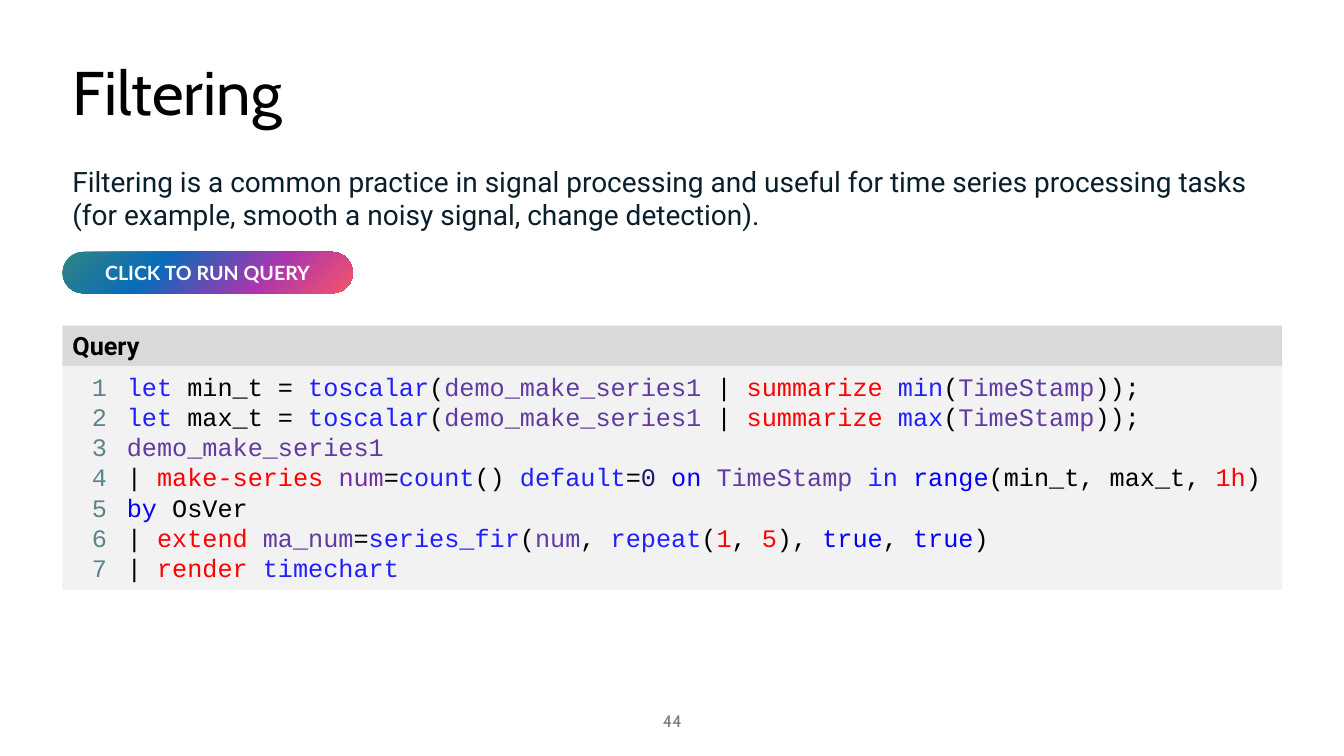
from pptx import Presentation
from pptx.dml.color import RGBColor
from pptx.enum.shapes import MSO_SHAPE as Shape
from pptx.enum.text import MSO_ANCHOR as Anchor, PP_ALIGN as Align
from pptx.oxml import parse_xml
from pptx.oxml.ns import nsdecls, qn
from pptx.util import Pt

BLACK = RGBColor(0x00, 0x00, 0x00)
WHITE = RGBColor(0xFF, 0xFF, 0xFF)
INK = RGBColor(0x09, 0x1F, 0x2C)
GREY = RGBColor(0x79, 0x79, 0x79)
HEADER_FILL = RGBColor(0xD9, 0xD9, 0xD9)
CODE_FILL = RGBColor(0xF2, 0xF2, 0xF2)
LINE_NUMBER = RGBColor(0x5B, 0x85, 0x8B)
FUNCTION = RGBColor(0x20, 0x20, 0xFF)
KEYWORD = RGBColor(0x00, 0x00, 0xFF)
OPERATOR = RGBColor(0xFF, 0x00, 0x00)
COLUMN = RGBColor(0x61, 0x3B, 0xA1)
SERIES = RGBColor(0x70, 0x30, 0xA0)
NUMBER = RGBColor(0x19, 0x19, 0x70)
BUTTON_STOPS = [
    (0, RGBColor(0xF6, 0x55, 0x67)),
    (31, RGBColor(0xAC, 0x35, 0xAF)),
    (67, RGBColor(0x0A, 0x6B, 0xBA)),
    (100, RGBColor(0x31, 0x85, 0x81)),
]

LEFT, WIDTH = 44.64, 871.2
CODE_FONT = "Courier New"
CODE_PITCH = 21.6
HEADER_HEIGHT = 28.8
GUTTER_WIDTH = 38.88


def time_bound(name):
    return [
        ("let ", FUNCTION), (f"{name}_t = ", BLACK), ("toscalar", FUNCTION),
        ("(", BLACK), ("demo_make_series1 ", COLUMN), ("| ", BLACK),
        ("summarize ", OPERATOR), (name, FUNCTION), ("(", BLACK),
        ("TimeStamp", COLUMN), ("));", BLACK),
    ]


QUERY = [
    time_bound("min"),
    time_bound("max"),
    [("demo_make_series1", COLUMN)],
    [
        ("| ", BLACK), ("make-series ", OPERATOR), ("num", SERIES),
        ("=", BLACK), ("count", FUNCTION), ("() ", BLACK),
        ("default", FUNCTION), ("=", BLACK), ("0 ", NUMBER),
        ("on ", KEYWORD), ("TimeStamp ", COLUMN), ("in ", FUNCTION),
        ("range", KEYWORD), ("(min_t, max_t, ", BLACK), ("1h", OPERATOR),
        (")", BLACK),
    ],
    [("by ", KEYWORD), ("OsVer", BLACK)],
    [
        ("| ", BLACK), ("extend ", OPERATOR), ("ma_num", COLUMN),
        ("=", BLACK), ("series_fir", FUNCTION), ("(", BLACK),
        ("num", COLUMN), (", ", BLACK), ("repeat", FUNCTION),
        ("(", BLACK), ("1", OPERATOR), (", ", BLACK), ("5", OPERATOR),
        ("), ", BLACK), ("true", KEYWORD), (", ", BLACK),
        ("true", KEYWORD), (")", BLACK),
    ],
    [("| ", BLACK), ("render ", OPERATOR), ("timechart", FUNCTION)],
]


def style(span, name, size, color, bold=False):
    span.font.name = name
    span.font.size = Pt(size)
    span.font.color.rgb = color
    span.font.bold = bold


def write(box, text, name, size, color, bold=False, align=Align.LEFT, anchor=Anchor.TOP):
    frame = box.text_frame
    frame.word_wrap = True
    frame.vertical_anchor = anchor
    frame.text = text
    for para in frame.paragraphs:
        para.alignment = align
        for span in para.runs:
            style(span, name, size, color, bold)


def add_panel(page, left, top, width, height, fill=None, preset=Shape.RECTANGLE):
    panel = page.shapes.add_shape(preset, Pt(left), Pt(top), Pt(width), Pt(height))
    panel.shadow.inherit = False
    panel.line.fill.background()
    if fill is not None:
        panel.fill.solid()
        panel.fill.fore_color.rgb = fill
    return panel


def add_text(page, left, top, width, height, text, *look, **options):
    box = page.shapes.add_textbox(Pt(left), Pt(top), Pt(width), Pt(height))
    write(box, text, *look, **options)


def add_title(page, left, top, width, height):
    title = page.shapes.title
    title.left, title.top = Pt(left), Pt(top)
    title.width, title.height = Pt(width), Pt(height)
    write(title, "Filtering", "Cabin", 44, BLACK, anchor=Anchor.MIDDLE)
    title.text_frame.paragraphs[0].line_spacing = 0.9


def add_button(page, left, top, width, height):
    button = add_panel(page, left, top, width, height, preset=Shape.ROUNDED_RECTANGLE)
    button.adjustments[0] = 0.5
    stops = "".join(
        f'<a:gs pos="{place * 1000}"><a:srgbClr val="{color}"/></a:gs>'
        for place, color in BUTTON_STOPS
    )
    gradient = parse_xml(
        f'<a:gradFill {nsdecls("a")} rotWithShape="1"><a:gsLst>{stops}</a:gsLst>'
        '<a:path path="circle"><a:fillToRect l="100000" t="100000"/></a:path>'
        '</a:gradFill>'
    )
    button.element.spPr.find(qn("a:prstGeom")).addnext(gradient)
    write(button, "CLICK TO RUN QUERY", "Lato", 14, WHITE, bold=True,
          align=Align.CENTER, anchor=Anchor.MIDDLE)
    frame = button.text_frame
    frame.word_wrap = False
    frame.margin_left = frame.margin_right = Pt(11.5)
    frame.margin_top = frame.margin_bottom = Pt(2.2)


def add_code_block(page, left, top, width, height):
    header = add_panel(page, left, top, width, HEADER_HEIGHT, HEADER_FILL)
    write(header, "Query", "Roboto", 18, BLACK, bold=True)

    body_top, body_height = top + HEADER_HEIGHT, height - HEADER_HEIGHT
    code = add_panel(page, left + GUTTER_WIDTH, body_top,
                     width - GUTTER_WIDTH, body_height, CODE_FILL)
    frame = code.text_frame
    frame.word_wrap = True
    frame.vertical_anchor = Anchor.TOP
    for index, line in enumerate(QUERY):
        para = frame.add_paragraph() if index else frame.paragraphs[0]
        para.alignment = Align.LEFT
        for text, color in line:
            span = para.add_run()
            span.text = text
            style(span, CODE_FONT, 18, color)

    gutter = add_panel(page, left, body_top, GUTTER_WIDTH, body_height, CODE_FILL)
    numbers = "\n".join(str(number) for number in range(1, len(QUERY) + 1))
    write(gutter, numbers, CODE_FONT, 18, LINE_NUMBER, align=Align.RIGHT)

    for panel in (code, gutter):
        for para in panel.text_frame.paragraphs:
            para.line_spacing = Pt(CODE_PITCH)


def build_filtering_slide(deck):
    page = deck.slides.add_slide(deck.slide_layouts[5])
    add_title(page, LEFT, 39.6, WIDTH, 56.88)
    add_text(page, LEFT, 113.76, WIDTH, 55.44,
             "Filtering is a common practice in signal processing and useful for time series "
             "processing tasks (for example, smooth a noisy signal, change detection).",
             "Roboto", 20, INK)
    add_code_block(page, LEFT, 232.56, WIDTH, 188.64)
    add_button(page, LEFT, 180, 207.36, 29.52)
    add_text(page, 318.24, 500.4, 324, 28.8, "44", "Cabin", 12, GREY,
             align=Align.CENTER, anchor=Anchor.MIDDLE)


def main():
    deck = Presentation()
    deck.slide_width, deck.slide_height = Pt(960), Pt(540)
    build_filtering_slide(deck)
    deck.save("out.pptx")


if __name__ == "__main__":
    main()
